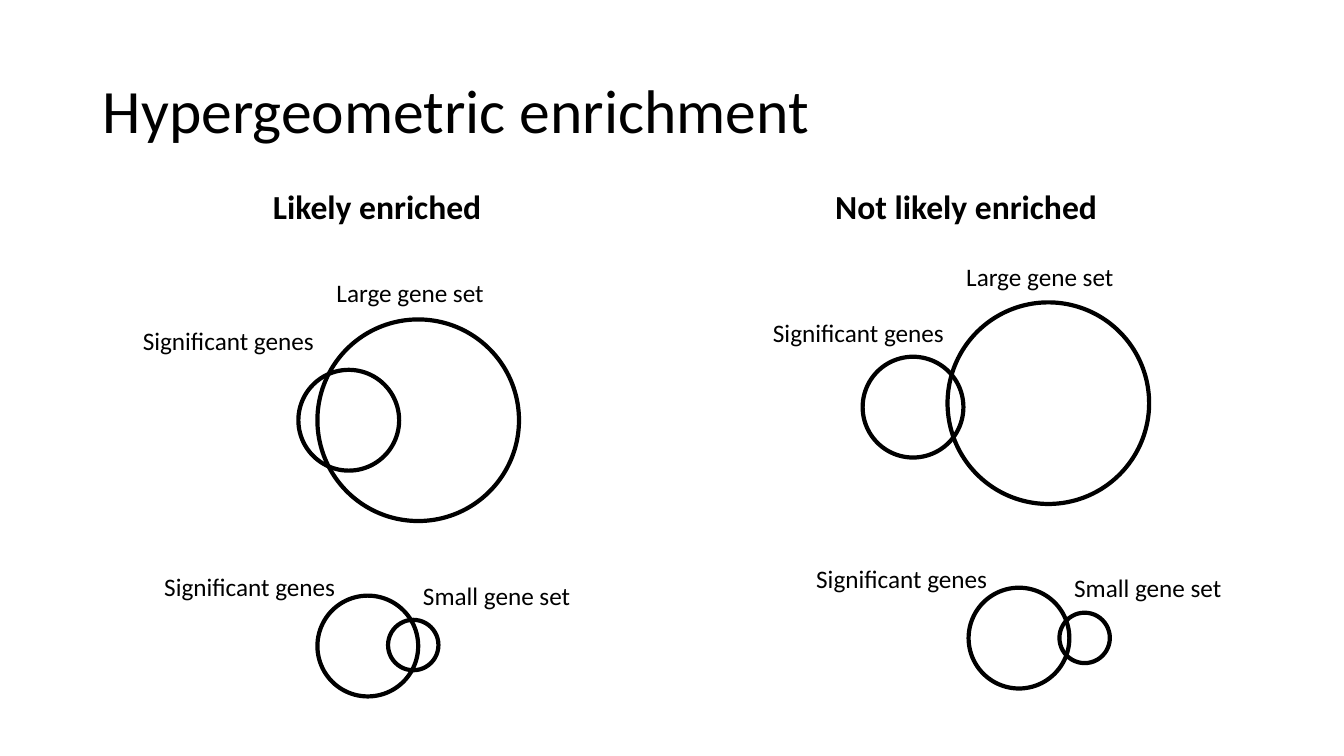
from pptx import Presentation, util as u
from pptx.dml.color import RGBColor
from pptx.enum import shapes, text


def paint(hue):
    return RGBColor.from_string(hue)


class Deck:
    font = "Calibri"
    ink = "000000"
    line = 3

    def __init__(self):
        self.file = Presentation()
        self.file.slide_width = u.Cm(33.87)
        self.file.slide_height = u.Cm(19.05)
        self.page = self.file.slides.add_slide(self.file.slide_layouts[5])

    def say(self, frame, words, size, bold=False, align=text.PP_ALIGN.LEFT, space=1.0):
        par = frame.paragraphs[0]
        par.alignment = align
        par.line_spacing = space
        run = par.add_run()
        run.text = words
        run.font.name = self.font
        run.font.size = u.Pt(size)
        run.font.bold = bold
        run.font.color.rgb = paint(self.ink)

    def title(self, words, left, top, width, height):
        box = self.page.shapes.title
        box.left, box.top = u.Cm(left), u.Cm(top)
        box.width, box.height = u.Cm(width), u.Cm(height)
        frame = box.text_frame
        frame.auto_size = text.MSO_AUTO_SIZE.NONE
        frame.vertical_anchor = text.MSO_ANCHOR.MIDDLE
        self.say(frame, words, 44, space=0.9)

    def box(self, left, top, width, height):
        spot = map(u.Cm, (left, top, width, height))
        return self.page.shapes.add_textbox(*spot).text_frame

    def head(self, words, left, width):
        frame = self.box(left, 4.67, width, 1.14)
        frame.word_wrap = True
        frame.vertical_anchor = text.MSO_ANCHOR.BOTTOM
        self.say(frame, words, 24, True, text.PP_ALIGN.CENTER, 0.8)

    def label(self, words, left, top, width):
        frame = self.box(left, top, width, 1.02)
        frame.word_wrap = False
        frame.auto_size = text.MSO_AUTO_SIZE.SHAPE_TO_FIT_TEXT
        self.say(frame, words, 18)

    def ring(self, left, top, size):
        spot = map(u.Cm, (left, top, size, size))
        ring = self.page.shapes.add_shape(shapes.MSO_SHAPE.OVAL, *spot)
        ring.shadow.inherit = False
        ring.fill.background()
        ring.line.color.rgb = paint(self.ink)
        ring.line.width = u.Pt(self.line)

    def venn(self, words, size, name, gene, note, hits):
        self.label(words, *name, 4.27)
        self.ring(*gene, size)
        self.ring(*hits, 2.54)
        self.label("Significant genes", *note, 4.88)


LARGE = ("Large gene set", 5.08)
SMALL = ("Small gene set", 1.27)
VENNS = [
    (LARGE, (8.23, 6.86), (8, 8.05), (3.35, 8.08), (7.52, 9.32)),
    (SMALL, (10.41, 14.5), (9.78, 15.62), (3.89, 14.27), (8, 15.01)),
    (LARGE, (24.1, 6.45), (23.88, 7.62), (19.23, 7.87), (21.74, 8.99)),
    (SMALL, (26.82, 14.3), (26.7, 15.44), (20.32, 14.07), (24.41, 14.81)),
]


def main():
    deck = Deck()
    deck.title("Hypergeometric enrichment", 2.34, 1.02, 29.21, 3.68)
    deck.head("Likely enriched", 2.34, 14.33)
    deck.head("Not likely enriched", 17.15, 14.4)
    for kind, *spots in VENNS:
        deck.venn(*kind, *spots)
    deck.file.save("out.pptx")


if __name__ == "__main__":
    main()
